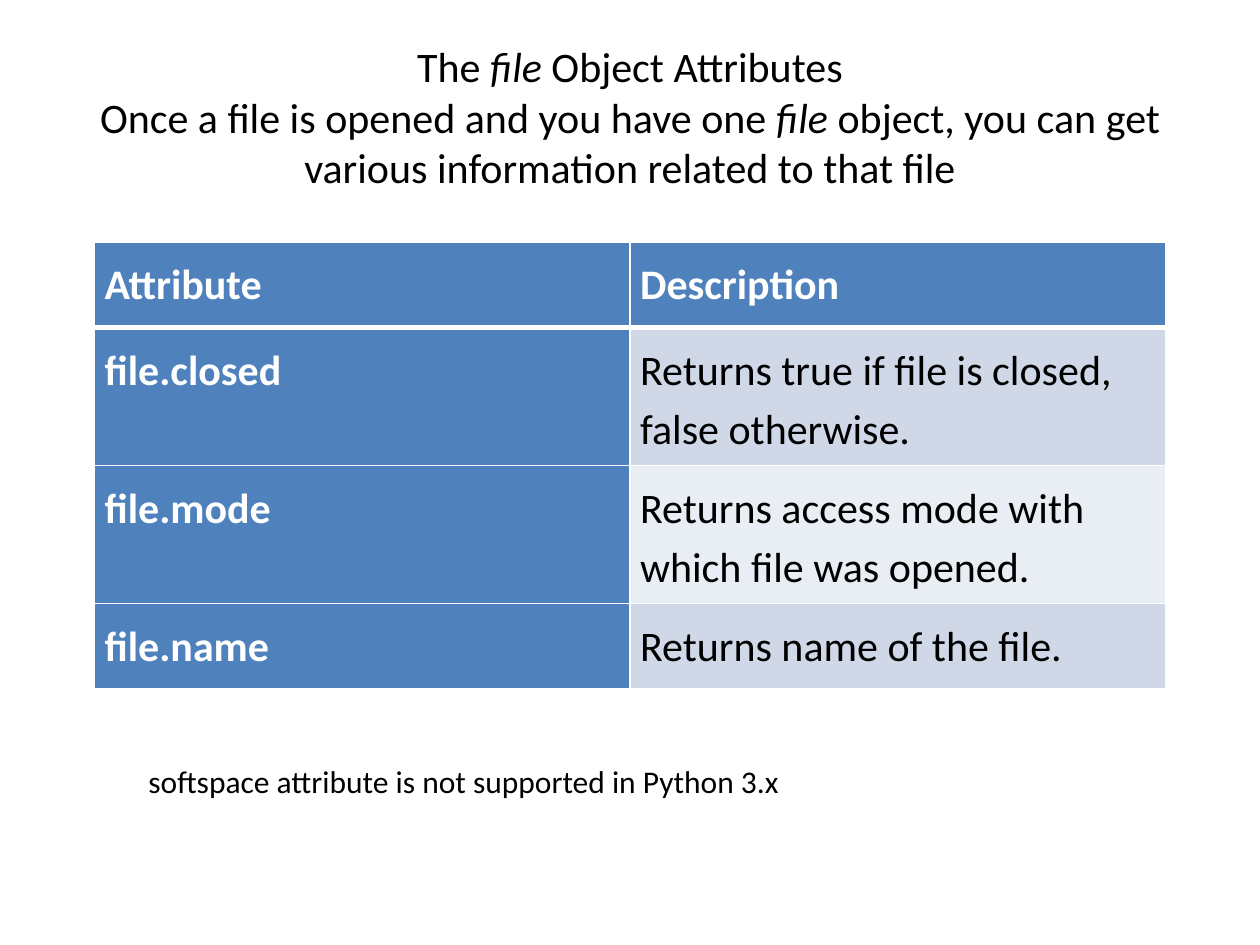
from dataclasses import dataclass

from pptx import Presentation
from pptx.dml.color import RGBColor
from pptx.enum.text import MSO_ANCHOR, MSO_AUTO_SIZE, PP_ALIGN
from pptx.oxml.ns import qn
from pptx.util import Inches, Pt
from lxml.etree import SubElement

# Title runs: (text, italic); "\n" starts a new line
TITLE = [
    ("The\u00a0", False),
    ("file", True),
    ("\u00a0Object Attributes", False),
    ("\n", False),
    ("Once a file is opened and you have one\u00a0", False),
    ("file", True),
    ("\u00a0object, you can get various information related to that file", False),
]
ROWS = [
    ("Attribute", "Description"),
    ("file.closed", "Returns true if file is closed, false otherwise."),
    ("file.mode", "Returns access mode with which file was opened."),
    ("file.name", "Returns name of the file."),
]
ROW_HEIGHTS = [0.68, 0.68, 1.07, 0.68]
COLUMN_WIDTH = 4.25
NOTE = "softspace attribute is not supported in Python 3.x"


@dataclass(frozen=True)
class Theme:
    """Font, type sizes and colours of the slide."""
    font: str = "Calibri"
    large: int = 24
    small: int = 18
    text: str = "000000"
    inverse: str = "FFFFFF"
    accent: str = "4F81BD"
    bands: tuple = ("D0D8E8", "E9EDF4")


THEME = Theme()


def place(shape, left, top, width, height):
    """Position a shape, in inches."""
    shape.left, shape.top = Inches(left), Inches(top)
    shape.width, shape.height = Inches(width), Inches(height)


def style(paragraph, size, color, bold=False):
    """Set the font of a whole paragraph."""
    font = paragraph.font
    font.name, font.size, font.bold = THEME.font, Pt(size), bold
    font.color.rgb = RGBColor.from_string(color)


def add_borders(cell, bottom):
    """Draw white cell borders with the given bottom width in points."""
    properties = cell._tc.get_or_add_tcPr()
    for side, width in (("L", 1), ("R", 1), ("T", 1), ("B", bottom)):
        line = SubElement(properties, qn(f"a:ln{side}"), w=str(Pt(width)))
        fill = SubElement(line, qn("a:solidFill"))
        SubElement(fill, qn("a:srgbClr"), val=THEME.inverse)


def fill_cell(cell, text, row, column):
    """Write and format one table cell by its position."""
    accented = row == 0 or column == 0
    add_borders(cell, 3 if row == 0 else 1)
    cell.fill.solid()
    color = THEME.accent if accented else THEME.bands[(row - 1) % 2]
    cell.fill.fore_color.rgb = RGBColor.from_string(color)
    cell.margin_left = cell.margin_right = Inches(0.08)
    cell.margin_top = cell.margin_bottom = Inches(0.08)
    cell.text = text
    paragraph = cell.text_frame.paragraphs[0]
    paragraph.line_spacing, paragraph.space_after = 1.15, Pt(10)
    style(paragraph, THEME.large, THEME.inverse if accented else THEME.text, accented)


def add_title(slide):
    """Fill the title placeholder with its mixed runs."""
    title = slide.shapes.title
    place(title, 0.5, 0.3, 9, 1.25)
    frame = title.text_frame
    frame.word_wrap, frame.auto_size = True, MSO_AUTO_SIZE.NONE
    frame.vertical_anchor = MSO_ANCHOR.MIDDLE
    paragraph = frame.paragraphs[0]
    paragraph.alignment = PP_ALIGN.CENTER
    style(paragraph, THEME.large, THEME.text)
    for text, italic in TITLE:
        if text == "\n":
            paragraph.add_line_break()
            continue
        run = paragraph.add_run()
        run.text, run.font.italic = text, italic


def add_attribute_table(slide):
    """Add the table of file attributes."""
    columns = len(ROWS[0])
    table = slide.shapes.add_table(
        len(ROWS), columns, Inches(0.75), Inches(1.92),
        Inches(COLUMN_WIDTH * columns), Inches(sum(ROW_HEIGHTS))).table
    table.first_col = True
    for column in table.columns:
        column.width = Inches(COLUMN_WIDTH)
    for row, texts in enumerate(ROWS):
        table.rows[row].height = Inches(ROW_HEIGHTS[row])
        for column, text in enumerate(texts):
            fill_cell(table.cell(row, column), text, row, column)


def add_note(slide):
    """Add the remark below the table."""
    box = slide.shapes.add_textbox(Inches(1.08), Inches(6), Inches(8.17), Inches(0.4))
    frame = box.text_frame
    frame.word_wrap, frame.auto_size = True, MSO_AUTO_SIZE.SHAPE_TO_FIT_TEXT
    frame.text = NOTE
    style(frame.paragraphs[0], THEME.small, THEME.text)


def main():
    """Build and save the slide."""
    presentation = Presentation()
    presentation.slide_width, presentation.slide_height = Inches(10), Inches(7.5)
    title_only = presentation.slide_layouts[5]
    slide = presentation.slides.add_slide(title_only)
    add_title(slide)
    add_attribute_table(slide)
    add_note(slide)
    presentation.save("out.pptx")


main()
